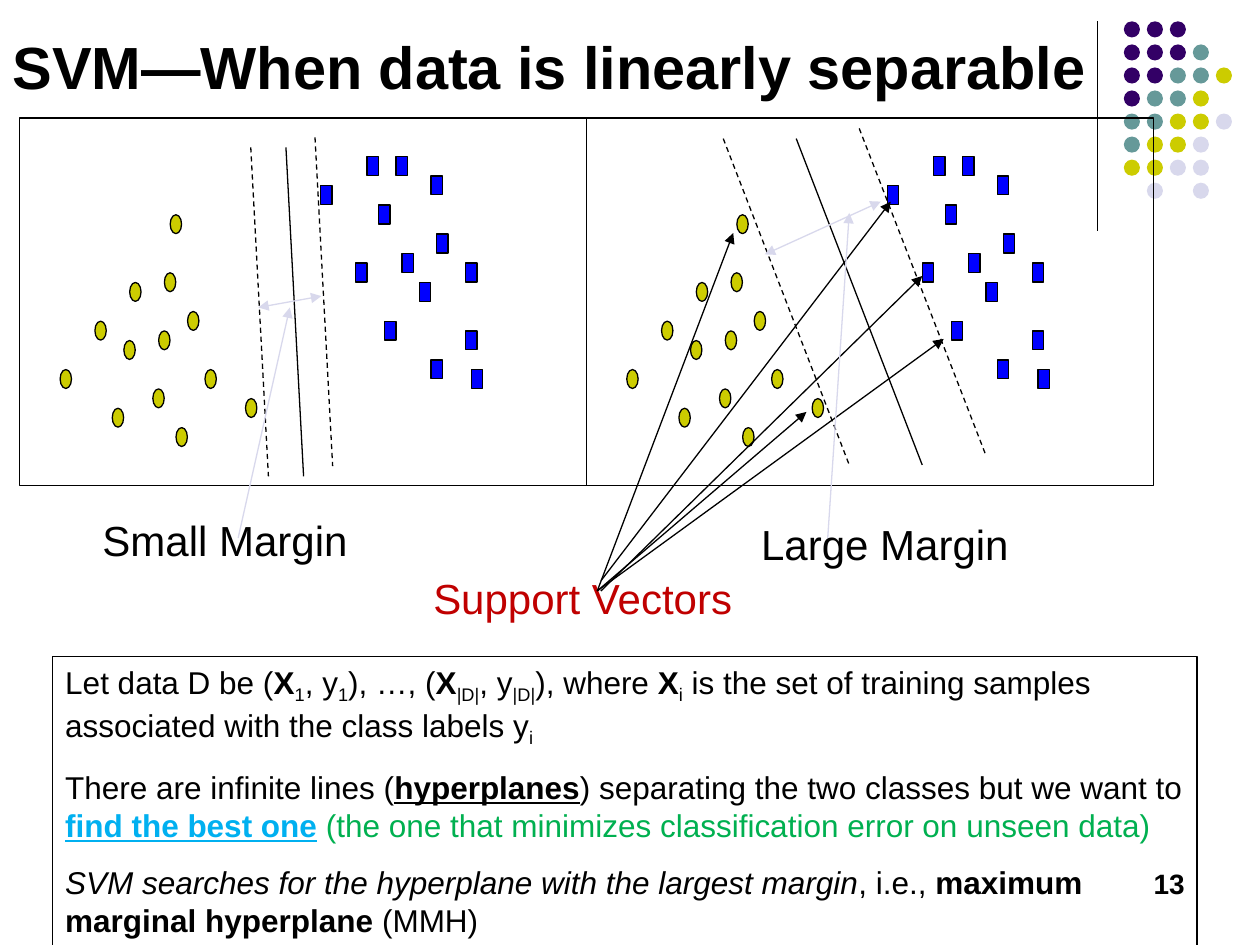
from lxml import etree
from pptx import Presentation
from pptx.dml.color import RGBColor
from pptx.enum.dml import MSO_LINE
from pptx.enum.shapes import MSO_CONNECTOR, MSO_SHAPE
from pptx.enum.text import MSO_ANCHOR, MSO_AUTO_SIZE, PP_ALIGN
from pptx.oxml.ns import qn
from pptx.util import Pt

STRAIGHT = MSO_CONNECTOR.STRAIGHT
OVAL, RECTANGLE = MSO_SHAPE.OVAL, MSO_SHAPE.RECTANGLE
DASH = MSO_LINE.DASH
LEFT, RIGHT = PP_ALIGN.LEFT, PP_ALIGN.RIGHT
TOP, BOTTOM = MSO_ANCHOR.TOP, MSO_ANCHOR.BOTTOM
NO_FIT = MSO_AUTO_SIZE.NONE

BLACK = RGBColor(0x00, 0x00, 0x00)
PURPLE = RGBColor(0x33, 0x00, 0x66)
TEAL = RGBColor(0x66, 0x99, 0x99)
OLIVE = RGBColor(0xCC, 0xCC, 0x00)
LAVENDER = RGBColor(0xD8, 0xD8, 0xEC)
BLUE = RGBColor(0x00, 0x00, 0xFF)
RED = RGBColor(0xC0, 0x00, 0x00)
SKY = RGBColor(0x00, 0xB0, 0xF0)
GREEN = RGBColor(0x00, 0xB0, 0x50)

DOT_COLORS = {"P": PURPLE, "T": TEAL, "O": OLIVE, "L": LAVENDER}
DOT_ROWS = ["PPP", "PPPT", "PPTTO", "PTTO", "TTOOL", "TOOL", "OOLL", " L L"]

PANEL_LEFTS = (11.2, 335)
PANEL_TOP, PANEL_WIDTH, PANEL_HEIGHT = 67.4, 324, 210.2
STEP_X, STEP_Y = 3.31, 5.53
CIRCLES = [(16, 30), (18, 23), (7, 26), (13, 21), (23, 28), (19, 17), (24, 22),
           (25, 16), (29, 20), (32, 26), (27, 32), (39, 29), (26, 10)]
SQUARES = [(58, 15), (52, 7), (60, 4), (63, 21), (62, 9), (66, 14), (65, 4),
           (71, 6), (69, 17), (72, 12), (71, 25), (77, 15), (77, 22), (78, 26)]

BOUNDARIES = [
    [((180, 78.5), (190.1, 266.4), DASH), ((143.3, 84.2), (153.4, 272.2), DASH),
     ((163.4, 84.2), (173.5, 272.2), None)],
    [((413.3, 79.2), (485.3, 265.7), DASH), ((491, 73.4), (563, 259.2), DASH),
     ((455, 79.2), (527, 265.7), None)],
]
SUPPORT_ARROWS = [
    ((343.4, 331.9), (509, 115.2)), ((343.4, 337.7), (527, 157.7)),
    ((341.3, 337.7), (539.3, 193.7)), ((341.3, 337.7), (460.8, 235.4)),
    ((341.3, 337.7), (419, 133.2)),
]
MARGINS = [
    ("Small Margin", (51.5, 290.2, 160, 36),
     ((147.6, 175.7), (183.6, 169.2)), ((136.1, 307.4), (165.6, 175.7))),
    ("Large Margin", (427.9, 292.5, 160, 36),
     ((437, 145.4), (503.3, 115.2)), ((473, 307.4), (485.3, 121.7))),
]

PLAIN, BOLD, SUB = {}, {"bold": True}, {"sub": True}
EXPLANATION = [
    [("Let data D be (", PLAIN), ("X", BOLD), ("1", SUB), (", y", PLAIN),
     ("1", SUB), ("), …, (", PLAIN), ("X", BOLD), ("|D|", SUB), (", y", PLAIN),
     ("|D|", SUB), ("), where ", PLAIN), ("X", BOLD), ("i", SUB),
     (" is the set of training samples associated with the class labels y", PLAIN),
     ("i", SUB)],
    [("There are infinite lines (", PLAIN),
     ("hyperplanes", {"bold": True, "underline": True}),
     (") separating the two classes but we want to ", PLAIN),
     ("find the best one", {"bold": True, "underline": True, "color": SKY}),
     (" ", BOLD),
     ("(the one that minimizes classification error on unseen data)",
      {"color": GREEN})],
    [("SVM searches for the hyperplane with the largest margin", {"italic": True}),
     (", i.e., ", PLAIN), ("maximum marginal hyperplane", BOLD), (" (MMH)", PLAIN)],
]


def place(shape, left, top, width, height):
    """Move and size a shape."""
    shape.left, shape.top = Pt(left), Pt(top)
    shape.width, shape.height = Pt(width), Pt(height)


def add_figure(page, kind, area, fill=None, outline=BLACK):
    """Add a preset shape with an optional fill and outline."""
    shape = page.shapes.add_shape(kind, *map(Pt, area))
    shape.shadow.inherit = False
    if fill is None:
        shape.fill.background()
    else:
        shape.fill.solid()
        shape.fill.fore_color.rgb = fill
    if outline is None:
        shape.line.fill.background()
    else:
        shape.line.color.rgb = outline
        shape.line.width = Pt(0.75)
    return shape


def add_line(page, start, end, color=BLACK, dash=None, ends=()):
    """Add a straight line with triangles at the named ends."""
    line = page.shapes.add_connector(STRAIGHT, *map(Pt, start + end))
    line.line.color.rgb = color
    line.line.width = Pt(0.75)
    if dash is not None:
        line.line.dash_style = dash
    properties = line._element.spPr
    for end_name in ends:
        etree.SubElement(properties.find(qn("a:ln")), qn("a:" + end_name), type="triangle")
    etree.SubElement(properties, qn("a:effectLst"))


def format_para(para, size, color=BLACK, bold=False, align=LEFT):
    """Set the font and alignment of a paragraph."""
    para.alignment = align
    font = para.font
    font.name, font.size, font.bold = "Arial", Pt(size), bold
    font.color.rgb = color


def add_label(page, area, text, size, wrap=False, **style):
    """Add a one-paragraph text box."""
    box = page.shapes.add_textbox(*map(Pt, area))
    box.text_frame.word_wrap = wrap
    box.text_frame.text = text
    format_para(box.text_frame.paragraphs[0], size, **style)


def add_title(page, text):
    """Fill and format the title placeholder."""
    title = page.shapes.title
    place(title, 0, 11.2, 736.6, 50.4)
    frame = title.text_frame
    frame.text = text
    frame.auto_size, frame.vertical_anchor = NO_FIT, BOTTOM
    format_para(frame.paragraphs[0], 34, bold=True)


def add_dot_pattern(page):
    """Add the corner rule and its grid of coloured dots."""
    add_line(page, (627.1, 12.2), (627.1, 131.8))
    for row, codes in enumerate(DOT_ROWS):
        for column, code in enumerate(codes):
            if code in DOT_COLORS:
                area = (642.2 + 13.14 * column, 12.2 + 13.17 * row, 9.2, 9.2)
                add_figure(page, OVAL, area, DOT_COLORS[code], None)


def add_panel(page, left, boundaries):
    """Add a framed scatter of two classes with its boundary lines."""
    for kind, color, cells in ((OVAL, OLIVE, CIRCLES), (RECTANGLE, BLUE, SQUARES)):
        for column, row in cells:
            area = (left + column * STEP_X, PANEL_TOP + row * STEP_Y, 6.5, 10.8)
            add_figure(page, kind, area, color)
    add_figure(page, RECTANGLE, (left, PANEL_TOP, PANEL_WIDTH, PANEL_HEIGHT))
    for start, end, dash in boundaries:
        add_line(page, start, end, dash=dash)


def add_span(para, text, bold=None, italic=None, underline=None, color=None, sub=False):
    """Add a run that differs from its paragraph in the given ways."""
    span = para.add_run()
    span.text = text
    font = span.font
    font.bold, font.italic, font.underline = bold, italic, underline
    if color is not None:
        font.color.rgb = color
    if sub:
        span._r.get_or_add_rPr().set("baseline", "-25000")


def add_explanation(page):
    """Add the framed explanatory paragraphs."""
    box = add_figure(page, RECTANGLE, (30.2, 375.1, 653.8, 165.6))
    frame = box.text_frame
    frame.word_wrap, frame.vertical_anchor = True, TOP
    for index, spans in enumerate(EXPLANATION):
        para = frame.add_paragraph() if index else frame.paragraphs[0]
        format_para(para, 18)
        para.space_before = Pt(11.2 if index else 0)
        for text, style in spans:
            add_span(para, text, **style)


def main():
    """Build the slide and save it."""
    deck = Presentation()
    deck.slide_width, deck.slide_height = Pt(720), Pt(540)
    page = deck.slides.add_slide(deck.slide_layouts[5])
    add_dot_pattern(page)
    add_label(page, (516.2, 491.8, 167.8, 36), "13", 16, wrap=True, bold=True, align=RIGHT)
    add_title(page, "SVM—When data is linearly separable")
    add_explanation(page)
    for left, boundaries in zip(PANEL_LEFTS, BOUNDARIES):
        add_panel(page, left, boundaries)
    add_label(page, (240.5, 323.6, 190, 36), "Support Vectors", 24, color=RED)
    for start, end in SUPPORT_ARROWS:
        add_line(page, start, end, ends=("tailEnd",))
    for text, area, span_arrow, pointer in MARGINS:
        add_label(page, area, text, 24)
        add_line(page, *span_arrow, color=LAVENDER, ends=("headEnd", "tailEnd"))
        add_line(page, *pointer, color=LAVENDER, ends=("tailEnd",))
    deck.save("out.pptx")


if __name__ == "__main__":
    main()
